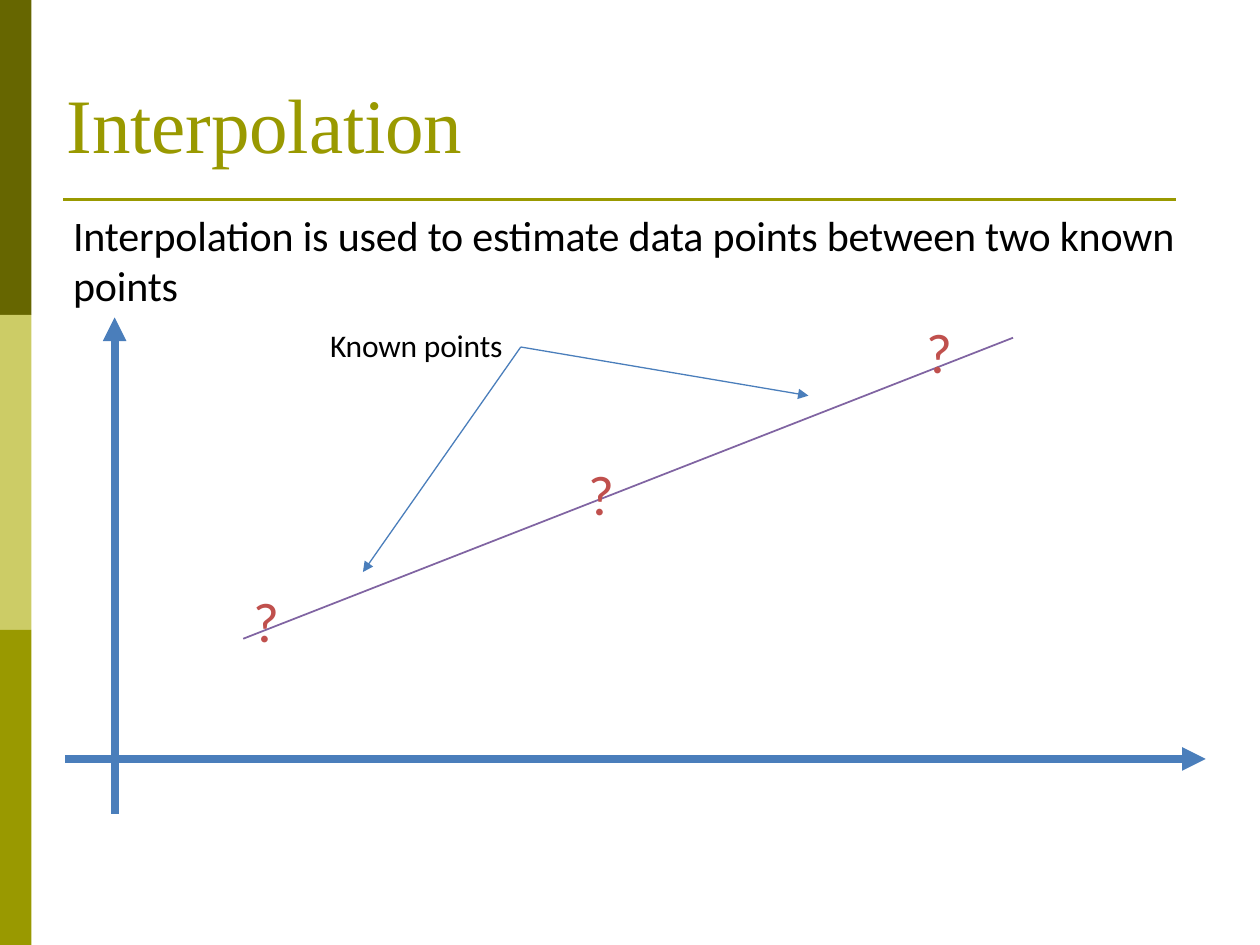
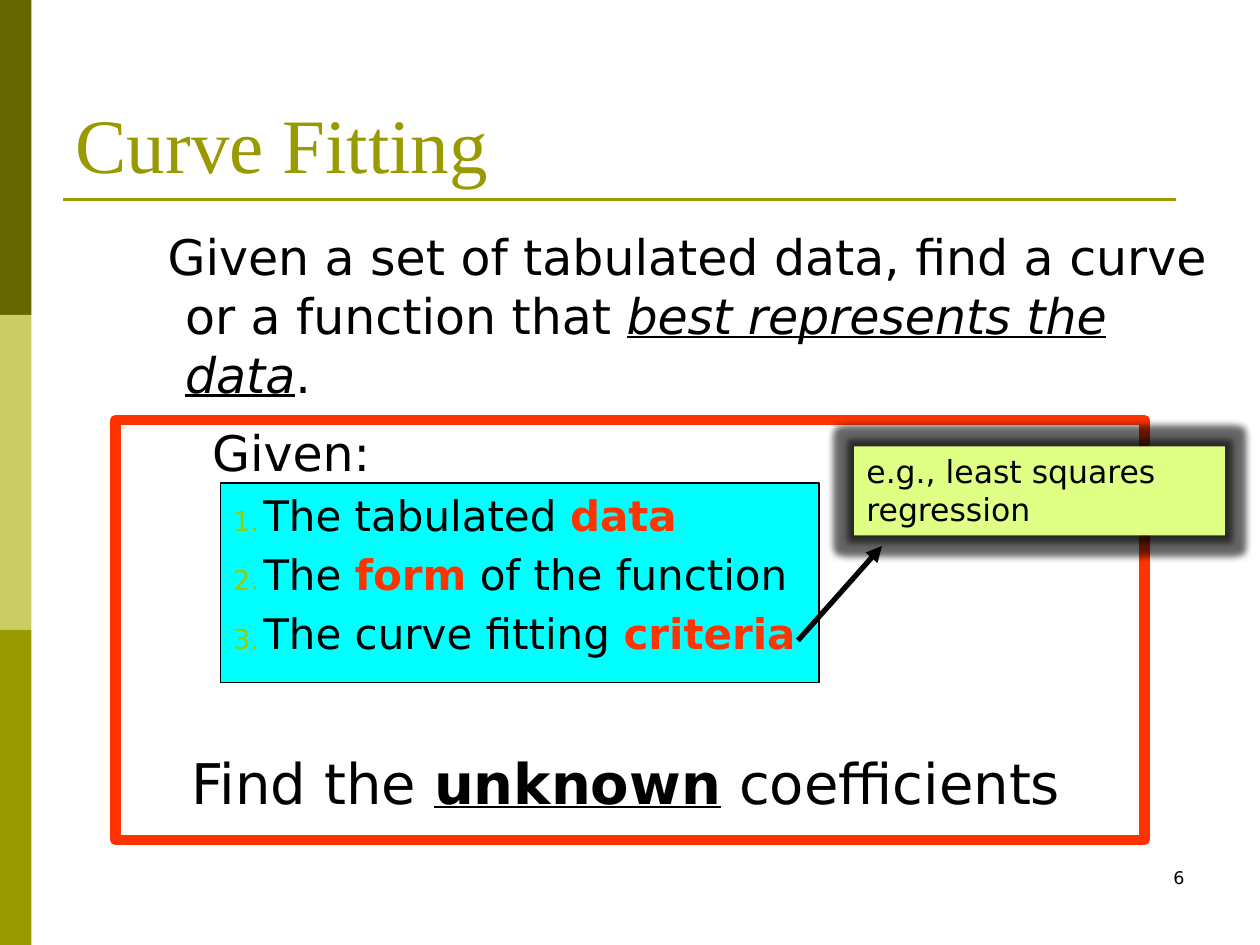
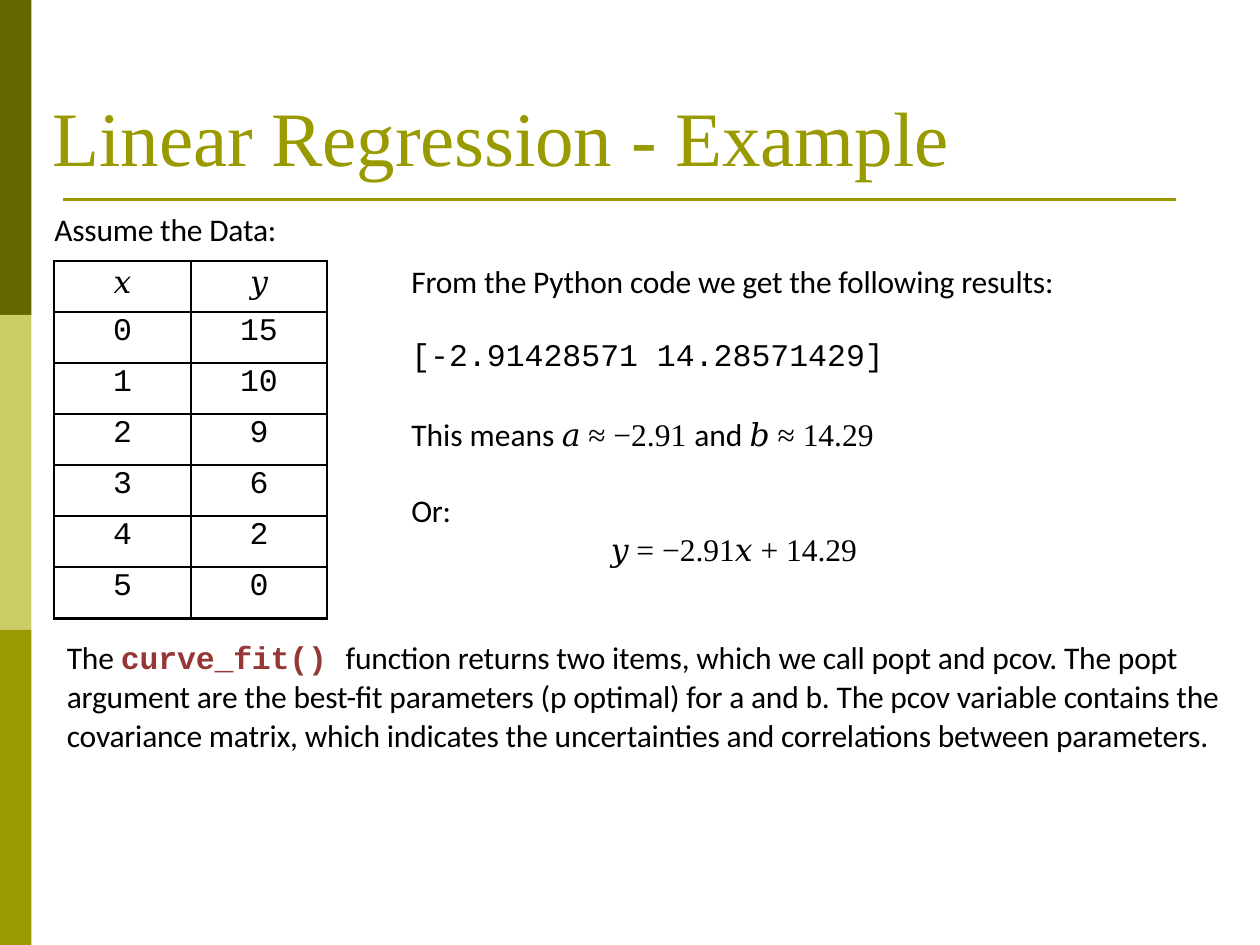
from lxml.etree import SubElement
from pptx import Presentation
from pptx.dml.color import RGBColor
from pptx.enum.shapes import MSO_CONNECTOR as Connector, MSO_SHAPE as Shape
from pptx.enum.text import MSO_ANCHOR as Anchor, MSO_AUTO_SIZE as AutoSize, PP_ALIGN as Align
from pptx.oxml.ns import qn
from pptx.util import Pt

COLORS = {
    "dark_olive": "666600", "light_olive": "CCCC66", "olive": "999900",
    "black": "000000", "axis": "4A7EBB", "trend": "8064A2", "question": "C0504D",
    "cyan": "00FFFF", "red": "FF3300", "lime": "E0FF85", "number": "99CC00",
    "code": "953735",
}
SANS, SERIF, MONO, WIDE = "Calibri", "Times New Roman", "Courier New", "DejaVu Sans"
TIGHT = -10
TEXT = {"font": SANS, "size": 18, "color": "black"}
TITLE = {"font": SERIF, "size": 44, "color": "olive"}
BODY = {"font": WIDE, "size": 28, "color": "black"}


def rgb(name):
    return RGBColor.from_string(COLORS[name])


def add_runs(paragraph, style, *runs):
    for item in runs:
        text, changes = (item, {}) if isinstance(item, str) else item
        look = {**style, **changes}
        run = paragraph.add_run()
        run.text = text
        font = run.font
        font.name, font.size = look["font"], Pt(look["size"])
        font.color.rgb = rgb(look["color"])
        font.bold = look.get("bold", False)
        font.italic = look.get("italic", False)
        font.underline = look.get("underline", False)
        if "tracking" in look:
            font._element.set("spc", str(look["tracking"]))


def add_paragraph(frame, style, *runs, align=Align.LEFT, margin=0, indent=0, before=None):
    first = frame.paragraphs[0]
    paragraph = frame.add_paragraph() if first.runs else first
    paragraph.alignment = align
    if before is not None:
        paragraph.space_before = Pt(before)
    properties = paragraph._p.get_or_add_pPr()
    properties.set("marL", str(Pt(margin)))
    properties.set("indent", str(Pt(indent)))
    add_runs(paragraph, style, *runs)
    return paragraph


def set_frame(frame, insets=(0, 0.7, 0, 0), anchor=Anchor.TOP):
    frame.word_wrap = True
    frame.auto_size = AutoSize.NONE
    frame.vertical_anchor = anchor
    frame.margin_left, frame.margin_top, frame.margin_right, frame.margin_bottom = map(Pt, insets)


def place(shape, left, top, width, height):
    shape.left, shape.top, shape.width, shape.height = map(Pt, (left, top, width, height))


def add_text_box(slide, box, **frame_options):
    frame = slide.shapes.add_textbox(*map(Pt, box)).text_frame
    set_frame(frame, **frame_options)
    return frame


def add_rectangle(slide, box, fill=None, line=None, line_width=0.75):
    shape = slide.shapes.add_shape(Shape.RECTANGLE, *map(Pt, box))
    shape.shadow.inherit = False
    if fill:
        shape.fill.solid()
        shape.fill.fore_color.rgb = rgb(fill)
    else:
        shape.fill.background()
    if line:
        shape.line.color.rgb = rgb(line)
        shape.line.width = Pt(line_width)
    else:
        shape.line.fill.background()
    return shape


def add_line(slide, start, end, color, width, arrow=False):
    line = slide.shapes.add_connector(Connector.STRAIGHT, *map(Pt, (*start, *end)))
    line.line.color.rgb = rgb(color)
    line.line.width = Pt(width)
    if arrow:
        SubElement(line.line._get_or_add_ln(), qn("a:tailEnd"), type="triangle")
    SubElement(line._element.spPr, qn("a:effectLst"))


def add_glow(shape, radius, opacity):
    effects = shape._element.spPr.find(qn("a:effectLst"))
    glow = SubElement(effects, qn("a:glow"), rad=str(Pt(radius)))
    color = SubElement(glow, qn("a:srgbClr"), val=COLORS["black"])
    SubElement(color, qn("a:alpha"), val=str(opacity * 1000))


def remove_bullet(paragraph):
    SubElement(paragraph._p.get_or_add_pPr(), qn("a:buNone"))


def number_paragraph(paragraph):
    properties = paragraph._p.get_or_add_pPr()
    color = SubElement(properties, qn("a:buClr"))
    SubElement(color, qn("a:srgbClr"), val=COLORS["number"])
    SubElement(properties, qn("a:buSzPct"), val="65000")
    SubElement(properties, qn("a:buFont"), typeface=WIDE)
    SubElement(properties, qn("a:buAutoNum"), type="arabicPeriod")


def start_slide(presentation, layout, title, box, insets=(0, 0.7, 0, 0), tracking=0):
    slide = presentation.slides.add_slide(presentation.slide_layouts[layout])
    for index, color in enumerate(("dark_olive", "light_olive", "olive")):
        add_rectangle(slide, (0, 180 * index, 18, 180), color)
    add_line(slide, (36, 114), (672, 114), "olive", 1.5)
    place(slide.shapes.title, *box)
    frame = slide.shapes.title.text_frame
    set_frame(frame, insets, Anchor.BOTTOM)
    add_paragraph(frame, {**TITLE, "tracking": tracking}, title)
    return slide


def add_data_table(slide, rows, left, top, column_width, row_height):
    count = len(rows)
    table = slide.shapes.add_table(count, 2, Pt(left), Pt(top),
                                   Pt(2 * column_width), Pt(count * row_height)).table
    table.first_row = table.horz_banding = False
    for column in table.columns:
        column.width = Pt(column_width)
    for row_index, values in enumerate(rows):
        table.rows[row_index].height = Pt(row_height)
        for column_index, value in enumerate(values):
            cell = table.cell(row_index, column_index)
            header = row_index == 0
            cell.margin_left = cell.margin_right = cell.margin_bottom = 0
            cell.margin_top = Pt(2.9 if header else 1.4)
            add_paragraph(cell.text_frame, {**TEXT, "font": SERIF if header else MONO},
                          value, align=Align.CENTER)
            add_borders(cell)
            cell.fill.background()


def add_borders(cell):
    properties = cell._tc.get_or_add_tcPr()
    for side in ("lnL", "lnR", "lnT", "lnB"):
        line = SubElement(properties, qn(f"a:{side}"), w=str(Pt(1.5)))
        fill = SubElement(line, qn("a:solidFill"))
        SubElement(fill, qn("a:srgbClr"), val=COLORS["black"])


def build_interpolation(presentation):
    slide = start_slide(presentation, 5, "Interpolation", (38.2, 42.5, 289, 54), tracking=TIGHT)
    add_line(slide, (139, 365), (578.9, 193), "trend", 1)
    add_line(slide, (37.4, 433.7), (689, 433.7), "axis", 4.5, arrow=True)
    add_line(slide, (65.5, 465), (65.5, 181.4), "axis", 4.5, arrow=True)
    for known_point in ((462, 226.1), (207.4, 326.9)):
        add_line(slide, (297.6, 198.3), known_point, "axis", 0.75, arrow=True)
    tight_text = {**TEXT, "tracking": TIGHT}
    label = add_text_box(slide, (188.6, 185.8, 106, 23.8))
    add_paragraph(label, tight_text, "Known points")
    for left, top in ((529.2, 180.7), (336.2, 262), (144.7, 334.5)):
        mark = add_text_box(slide, (left, top, 17, 40))
        add_paragraph(mark, {**TEXT, "size": 32, "color": "question"}, "?")
    summary = add_text_box(slide, (41.8, 118.8, 648, 59))
    add_paragraph(summary, {**tight_text, "size": 24},
                  "Interpolation is used to estimate data points between two known points")


def build_curve_fitting(presentation):
    default_insets = (7.2, 3.6, 7.2, 3.6)
    slide = start_slide(presentation, 1, "Curve Fitting", (36, 21.6, 648, 90), default_insets)
    panel = add_rectangle(slide, (126, 276, 342, 114), "cyan", "black")
    panel._element.getparent().insert(2, panel._element)

    body = slide.placeholders[1]
    place(body, 54, 126, 654, 360)
    frame = body.text_frame
    set_frame(frame, default_insets)
    emphasis = {"italic": True, "underline": True}
    remove_bullet(add_paragraph(
        frame, BODY, "Given a set of tabulated data, find a curve or a function that ",
        ("best represents the data", emphasis), ".", margin=44.6, indent=-10))
    remove_bullet(add_paragraph(frame, BODY, "Given:", margin=60, before=11))
    key = {"color": "red", "bold": True}
    for runs in (("The tabulated ", ("data", key)),
                 ("The ", ("form", key), " of the function"),
                 ("The curve fitting ", ("criteria", key))):
        item = add_paragraph(frame, {**BODY, "size": 24}, *runs, margin=89.3, indent=-17.3)
        item.level = 2
        number_paragraph(item)
    remove_bullet(add_paragraph(
        frame, {**BODY, "size": 32}, "Find the ",
        ("unknown", {"bold": True, "underline": True}), " coefficients",
        margin=48.3, before=52))

    add_rectangle(slide, (66, 240, 588, 240), line="red", line_width=6)
    callout = add_rectangle(slide, (488, 255, 212, 51), "lime")
    add_glow(callout, 8, 60)
    set_frame(callout.text_frame, default_insets)
    for text in ("e.g., least squares", "regression"):
        add_paragraph(callout.text_frame, {**BODY, "size": 18}, text)
    add_line(slide, (456, 366), (504, 312), "black", 3, arrow=True)
    number = add_text_box(slide, (516, 492, 168, 36), insets=default_insets)
    add_paragraph(number, {**BODY, "size": 10}, "6", align=Align.RIGHT)


def build_regression_example(presentation):
    slide = start_slide(presentation, 5, "Linear Regression - Example",
                        (30.2, 49.7, 613, 54), tracking=TIGHT)
    frame = add_text_box(slide, (31, 111.6, 678.2, 317), insets=(0, 8.6, 0, 0))
    tight_text = {**TEXT, "tracking": TIGHT}
    math = {"font": SERIF, "tracking": 0}
    results = 204
    add_paragraph(frame, tight_text, "Assume the Data:")
    add_paragraph(frame, tight_text, "From the Python code we get the following results:",
                  margin=results, before=7.7)
    add_paragraph(frame, {**TEXT, "font": MONO}, "[-2.91428571 14.28571429]",
                  margin=results, before=20.3)
    add_paragraph(frame, TEXT, "This means ", ("𝑎 ≈ −2.91 ", math), "and ",
                  ("𝑏 ≈ 14.29", math), margin=results, before=24.1)
    add_paragraph(frame, tight_text, "Or:", margin=results, before=22)
    add_paragraph(frame, {**TEXT, **math}, "𝑦 = −2.91𝑥 + 14.29", margin=318, before=0.5)
    closing = add_paragraph(
        frame, tight_text, "The ",
        ("curve_fit() ", {"font": MONO, "color": "code", "bold": True}),
        "function returns two items, which we call popt and pcov. The popt argument are "
        "the best-fit parameters (p optimal) for a and b. The pcov variable contains the "
        "covariance matrix, which indicates the uncertainties and correlations between "
        "parameters.", margin=7.2, before=40)
    closing.line_spacing = 1.02
    rows = [("𝑥", "𝑦"), ("0", "15"), ("1", "10"), ("2", "9"),
            ("3", "6"), ("4", "2"), ("5", "0")]
    add_data_table(slide, rows, 31, 149, 78, 29.2)


def main():
    presentation = Presentation()
    presentation.slide_width, presentation.slide_height = Pt(720), Pt(540)
    build_interpolation(presentation)
    build_curve_fitting(presentation)
    build_regression_example(presentation)
    presentation.save("out.pptx")


if __name__ == "__main__":
    main()
